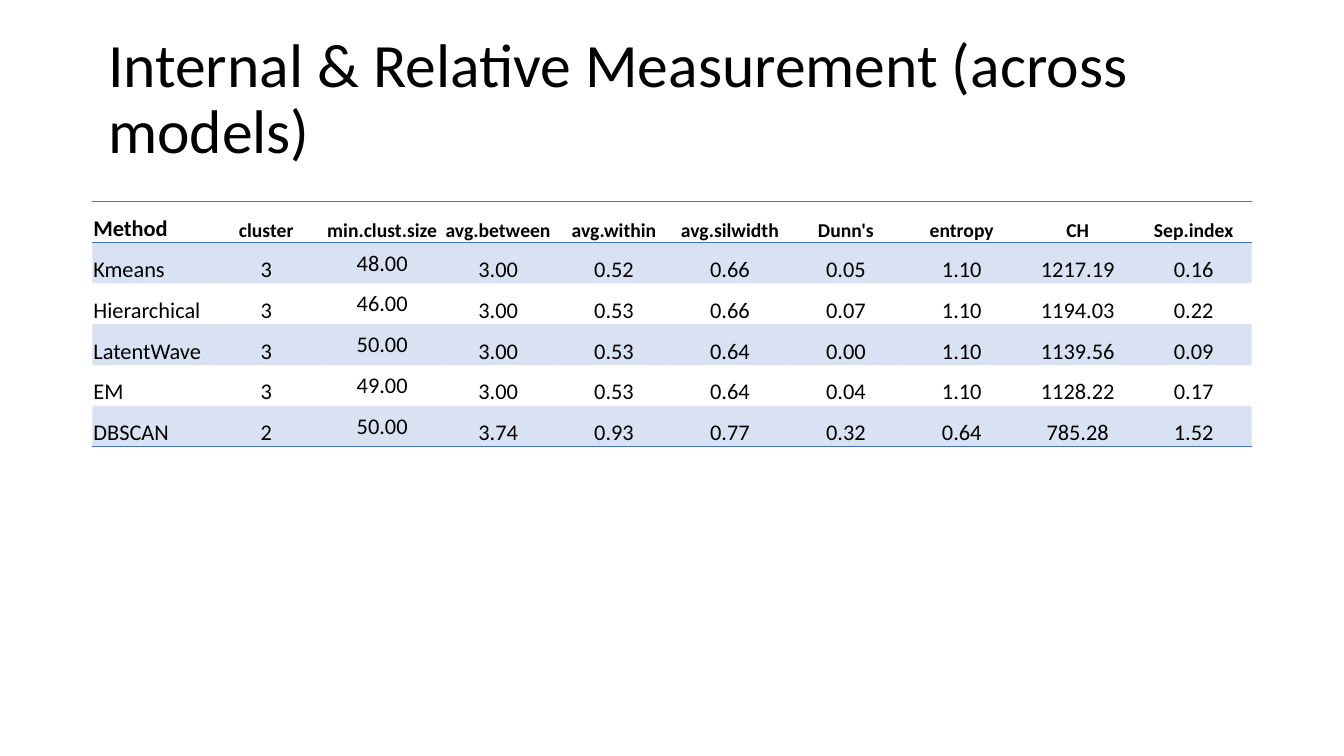
import pptx
import pptx.dml.color
import pptx.enum.text
import pptx.oxml
import pptx.oxml.ns
import pptx.util

Pt = pptx.util.Pt
RGBColor = pptx.dml.color.RGBColor
ALIGN = pptx.enum.text.PP_ALIGN
ANCHOR = pptx.enum.text.MSO_ANCHOR
qn = pptx.oxml.ns.qn

BLACK = RGBColor(0x00, 0x00, 0x00)
BLUE = RGBColor(0x44, 0x72, 0xC4)
NO_STYLE = "{2D5ABB26-0587-4C30-8999-92F81FD0307C}"

TITLE = "Internal & Relative Measurement (across models)"
HEADER = ["Method", "cluster", "min.clust.size", "avg.between", "avg.within",
          "avg.silwidth", "Dunn's", "entropy", "CH", "Sep.index"]
MODELS = [
    ["Kmeans", "3", "48.00", "3.00", "0.52", "0.66", "0.05", "1.10", "1217.19", "0.16"],
    ["Hierarchical", "3", "46.00", "3.00", "0.53", "0.66", "0.07", "1.10", "1194.03", "0.22"],
    ["LatentWave", "3", "50.00", "3.00", "0.53", "0.64", "0.00", "1.10", "1139.56", "0.09"],
    ["EM", "3", "49.00", "3.00", "0.53", "0.64", "0.04", "1.10", "1128.22", "0.17"],
    ["DBSCAN", "2", "50.00", "3.74", "0.93", "0.77", "0.32", "0.64", "785.28", "1.52"],
]
SIZE_COLUMN = HEADER.index("min.clust.size")


class Deck:
    """Holds the style and the current slide."""

    font = "Calibri"

    def __init__(self, width, height):
        self.prs = pptx.Presentation()
        self.prs.slide_width, self.prs.slide_height = Pt(width), Pt(height)
        self.s = self.prs.slides.add_slide(self.prs.slide_layouts[5])

    def run(self, p, text, size, bold=False):
        r = p.add_run()
        r.text = text
        r.font.name, r.font.size, r.font.bold = self.font, Pt(size), bold
        r.font.color.rgb = BLACK

    def title(self, text, left, top, width, height):
        sp = self.s.shapes.title
        sp.left, sp.top, sp.width, sp.height = Pt(left), Pt(top), Pt(width), Pt(height)
        tf = sp.text_frame
        tf.word_wrap = True
        tf.auto_size = pptx.enum.text.MSO_AUTO_SIZE.NONE
        tf.vertical_anchor = ANCHOR.MIDDLE
        p = tf.paragraphs[0]
        p.alignment, p.line_spacing = ALIGN.LEFT, 0.9
        self.run(p, text, 44)

    def table(self, rows, left, top, width, height):
        shape = self.s.shapes.add_table(len(rows), len(rows[0]),
                                        Pt(left), Pt(top), Pt(width), Pt(height))
        tbl = shape.table
        tbl.first_row = tbl.horz_banding = False
        shape.element.find(".//" + qn("a:tableStyleId")).text = NO_STYLE
        for i, row in enumerate(rows):
            for j, text in enumerate(row):
                self.cell(tbl.cell(i, j), text, i, j)
                # Rules above and below the header and under the last row
                if i in (0, len(rows) - 1):
                    self.border(tbl.cell(i, j), "lnB")
                if i == 0:
                    self.border(tbl.cell(i, j), "lnT")

    def cell(self, cell, text, i, j):
        header = i == 0
        cell.margin_left = cell.margin_right = cell.margin_top = Pt(0.75)
        cell.margin_bottom = 0
        middle = j == SIZE_COLUMN and not header
        cell.vertical_anchor = ANCHOR.MIDDLE if middle else ANCHOR.BOTTOM
        p = cell.text_frame.paragraphs[0]
        p.alignment = ALIGN.CENTER if j else ALIGN.LEFT
        self.run(p, text, 14 if header and j else 16, header)
        # Pale band on every other row
        if i % 2:
            cell.fill.solid()
            cell.fill.fore_color.rgb = BLUE
            color = cell._tc.tcPr.find(".//" + qn("a:srgbClr"))
            color.append(pptx.oxml.parse_xml(
                f'<a:alpha {pptx.oxml.ns.nsdecls("a")} val="20000"/>'))
        else:
            cell.fill.background()

    def border(self, cell, side):
        cell._tc.get_or_add_tcPr().insert(0, pptx.oxml.parse_xml(
            f'<a:{side} {pptx.oxml.ns.nsdecls("a")} w="{Pt(1)}">'
            f'<a:solidFill><a:srgbClr val="{BLUE}"/></a:solidFill></a:{side}>'))


def main():
    deck = Deck(960, 540)
    # Title
    deck.title(TITLE, 70, 19.5, 828, 104.4)
    # Comparison of the clustering models
    deck.table([HEADER] + MODELS, 66, 144, 828, 175.2)
    deck.prs.save("out.pptx")


if __name__ == "__main__":
    main()
